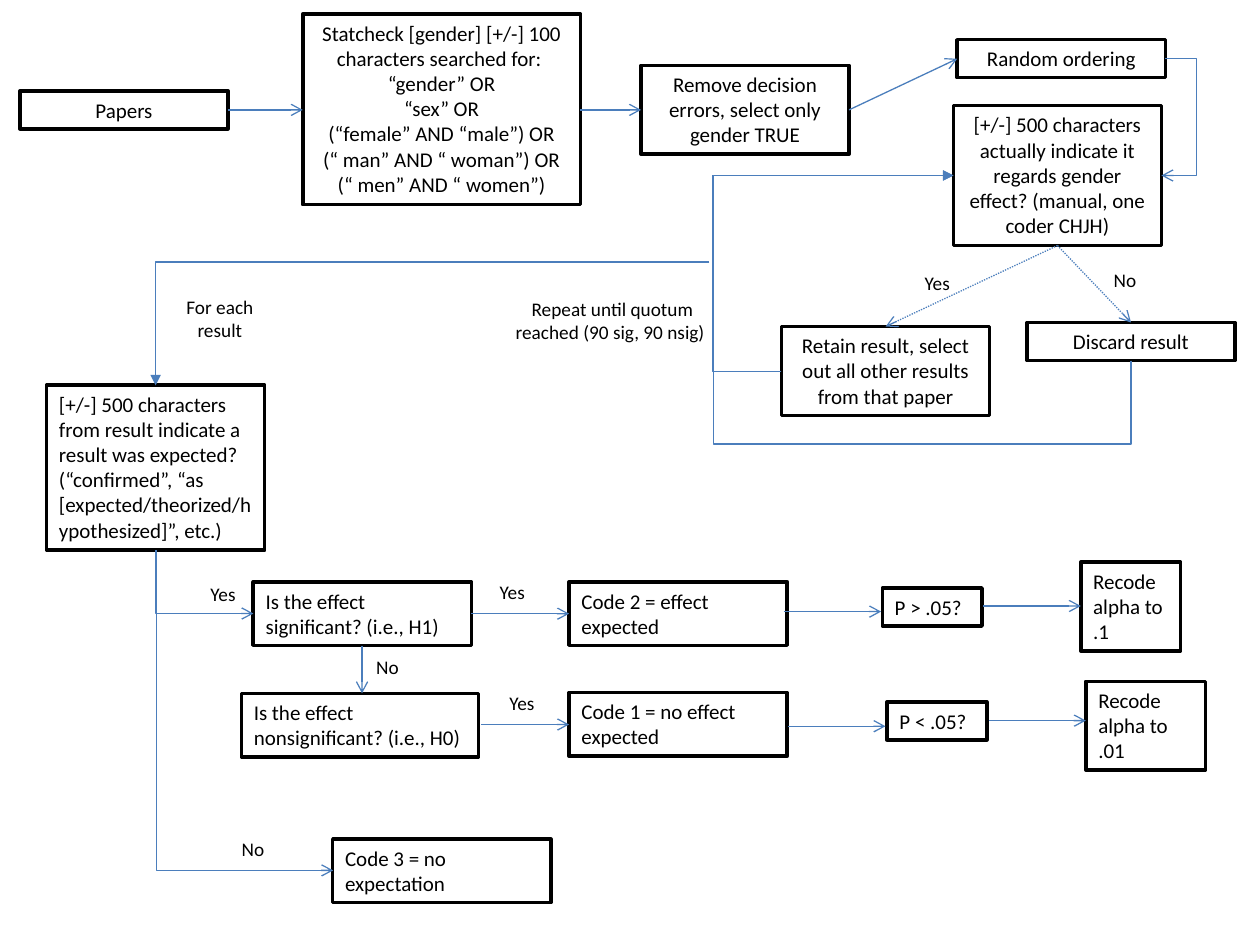
"""Build a flowchart of how gender results were selected and coded."""
import pptx
import pptx.util
import pptx.dml.color
import pptx.enum.dml
import pptx.enum.shapes
import pptx.enum.text
import pptx.oxml
import pptx.oxml.ns

Pt = pptx.util.Pt
ALIGN = pptx.enum.text.PP_ALIGN
KIND = pptx.enum.shapes.MSO_CONNECTOR
FONT, BLACK, WHITE, BLUE = "Calibri", "000000", "FFFFFF", "4B7EBC"
STEP_W, CODE_W, TEST_W, LABEL_W = 118.9, 124.7, 57, 39

SEARCH = """Statcheck [gender] [+/-] 100 characters searched for: 
“gender” OR
“sex” OR
(“female” AND “male”) OR
(“ man” AND “ woman”) OR
(“ men” AND “ women”)"""
EXPECTED = ("[+/-] 500 characters from result indicate a result was expected? "
            "(“confirmed”, “as [expected/theorized/hypothesized]”, etc.) ")
REGARDS = ("[+/-] 500 characters actually indicate it regards gender effect? "
           "(manual, one coder CHJH)")

# text, left, top, width, lines
SELECTION_STEPS = [
    ("Papers", 11.4, 51.9, STEP_W, 1),
    (SEARCH, 173, 8, 158.7, 7),
    ("Remove decision errors, select only gender TRUE", 366.3, 37.3, STEP_W, 3),
    ("Random ordering", 547, 22.7, STEP_W, 1),
    (REGARDS, 544.8, 60.4, STEP_W, 5),
    ("Retain result, select out all other results from that paper", 446.6, 186.6, STEP_W, 3),
    ("Discard result", 586.8, 184.3, STEP_W, 1),
]
CODING_STEPS = [
    (EXPECTED, 26.6, 220, CODE_W, 6),
    ("Is the effect significant? (i.e., H1)", 144.7, 332.5, CODE_W, 2),
    ("Is the effect nonsignificant? (i.e., H0)", 138, 396.2, 135.5, 2),
    ("Code 2 = effect expected", 325.2, 332.5, CODE_W, 2),
    ("Code 1 = no effect expected", 325.2, 395.8, CODE_W, 2),
    ("Code 3 = no expectation", 190.1, 479.5, CODE_W, 2),
    ("P > .05?", 504.2, 336, TEST_W, 1),
    ("P < .05?", 506.9, 401.1, TEST_W, 1),
    ("Recode alpha to .1", 617.6, 321.2, TEST_W, 3),
    ("Recode alpha to .01", 620.5, 389.3, 68.4, 3),
]
LABELS = [
    ("Yes", 108, 329.3, LABEL_W, 1),
    ("No", 125.1, 475, LABEL_W, 1),
    ("No", 201.9, 370.9, LABEL_W, 1),
    ("Yes", 273.3, 328.3, LABEL_W, 1),
    ("Yes", 278.8, 391.7, LABEL_W, 1),
    ("Yes", 516.1, 151.5, LABEL_W, 1),
    ("No", 623.4, 149.9, LABEL_W, 1),
    ("Repeat until quotum reached (90 sig, 90 nsig) ", 286.6, 166.2, 126.7, 2),
    ("For each result", 89.3, 165.1, 72.7, 2),
]
# x1, y1, x2, y2
ARROWS = [
    (130.3, 62.8, 173, 62.8), (331.7, 62.8, 366.3, 62.8), (485.2, 62.8, 547, 33.6),
    (206.9, 368.9, 206.9, 396.2),
    (269.4, 350.7, 325.2, 350.7), (275, 414, 325.2, 414),
    (448, 349.5, 503.5, 349.5), (450.5, 415, 506, 415),
    (562, 346.3, 617.6, 346.3), (565, 411.8, 620.5, 411.8),
]
DOTTED_ARROWS = [(604.3, 140.3, 646.3, 184.3), (604.3, 140.3, 506.1, 186.6)]
# left, top, width, height, rotation, flip, preset, adjustments, arrowhead
ELBOWS = [
    (663.7, 33.6, 2.3, 66.7, 0, "flipH", "bentConnector3", [-7.79], "arrow"),
    (48.4, 355.4, 182.8, 101.1, 270, "flipH", "bentConnector2", [], "arrow"),
    (98.9, 304.7, 36.1, 55.7, 270, "flipH", "bentConnector2", [], "arrow"),
    (446.6, 100.3, 98.2, 111.8, 180, "flipH", "bentConnector3", [-0.4], "triangle"),
    (542.7, 102.4, 105.8, 101.5, 90, "flipH", "bentConnector4", [-0.45, 2.35], "triangle"),
    (88.9, 149.8, 316.5, 70.4, 180, "flipV", "bentConnector2", [], "triangle"),
]


def color(value):
    return pptx.dml.color.RGBColor.from_string(value)


def add_sub(parent, tag, **attrs):
    e = pptx.oxml.parse_xml(f"<a:{tag} {pptx.oxml.ns.nsdecls('a')}/>")
    for name, value in attrs.items():
        e.set(name, value)
    parent.append(e)
    return e


def write(sp, text, size, align):
    tf = sp.text_frame
    tf.word_wrap = True
    tf.auto_size = pptx.enum.text.MSO_AUTO_SIZE.SHAPE_TO_FIT_TEXT
    tf.vertical_anchor = pptx.enum.text.MSO_ANCHOR.TOP
    tf.text = text
    for p in tf.paragraphs:
        p.alignment = align
        for r in p.runs:
            r.font.size, r.font.name = Pt(size), FONT
            r.font.color.rgb = color(BLACK)


def place(x, y, w, lines, size):
    return Pt(x), Pt(y), Pt(w), Pt(round(1.212 * size * lines + 7.2, 2))


def add_step(text, x, y, w, lines, align):
    sp = s.shapes.add_shape(pptx.enum.shapes.MSO_SHAPE.RECTANGLE, *place(x, y, w, lines, 12))
    sp.shadow.inherit = False
    sp.fill.solid()
    sp.fill.fore_color.rgb = color(WHITE)
    sp.line.color.rgb = color(BLACK)
    sp.line.width = Pt(2)
    write(sp, text, 12, align)


def add_line(kind, points, head):
    c = s.shapes.add_connector(kind, *[Pt(v) for v in points])
    c.line.color.rgb = color(BLUE)
    c.line.width = Pt(0.75)
    add_sub(c.line._get_or_add_ln(), "tailEnd", type=head)
    add_sub(c._element.spPr, "effectLst")
    return c


def add_elbow(x, y, w, h, rotation, flip, preset, adjustments, head):
    c = add_line(KIND.ELBOW, (x, y, x + w, y + h), head)
    xfrm = c._element.spPr.xfrm
    xfrm.set("rot", str(rotation * 60000))
    xfrm.set(flip, "1")
    geom = c._element.spPr.prstGeom
    geom.set("prst", preset)
    for guide in list(geom):
        geom.remove(guide)
    guides = add_sub(geom, "avLst")
    for i, value in enumerate(adjustments, 1):
        add_sub(guides, "gd", name=f"adj{i}", fmla=f"val {round(value * 100000)}")


prs = pptx.Presentation()
prs.slide_width, prs.slide_height = Pt(720), Pt(540)
s = prs.slides.add_slide(prs.slide_layouts[6])

for steps, align in ((SELECTION_STEPS, ALIGN.CENTER), (CODING_STEPS, ALIGN.LEFT)):
    for step in steps:
        add_step(*step, align)
for arrow in ARROWS:
    add_line(KIND.STRAIGHT, arrow, "arrow")
for arrow in DOTTED_ARROWS:
    c = add_line(KIND.STRAIGHT, arrow, "arrow")
    c.line.dash_style = pptx.enum.dml.MSO_LINE.ROUND_DOT
for elbow in ELBOWS:
    add_elbow(*elbow)
for text, *box in LABELS:
    write(s.shapes.add_textbox(*place(*box, 11)), text, 11, ALIGN.CENTER)

prs.save("out.pptx")
